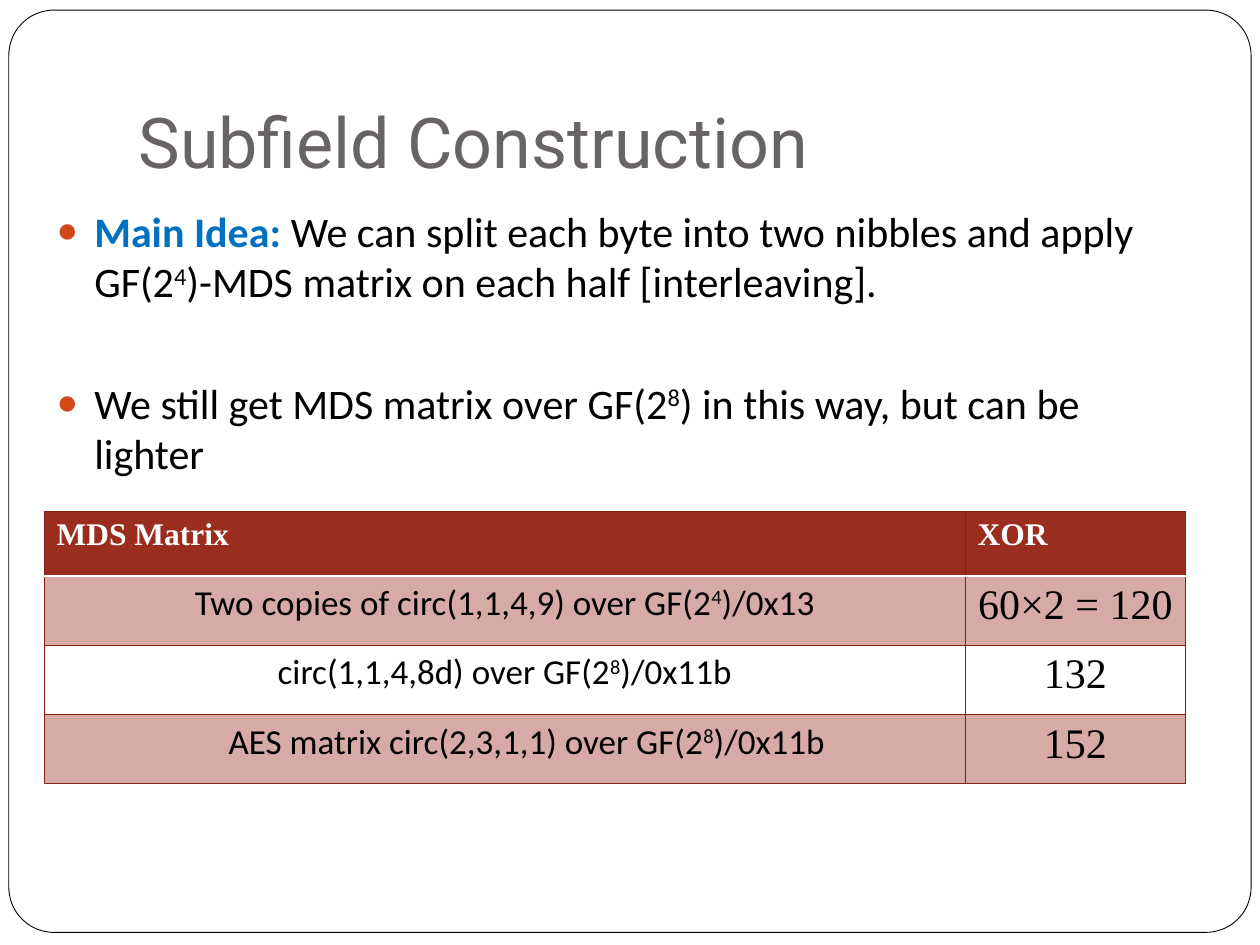
from pptx import Presentation
from pptx.dml.color import RGBColor
from pptx.enum.shapes import MSO_SHAPE as Shape
from pptx.enum.text import MSO_ANCHOR as Anchor, PP_ALIGN as Align
from pptx.oxml.ns import qn
from pptx.util import Inches, Pt
from lxml.etree import SubElement as Sub

# Content: carets enclose a superscript
TITLE = "Subfield Construction"
LEAD = "Main Idea:"
POINTS = [  # lead, text, space before
    (LEAD, " We can split each byte into two nibbles and apply "
           "GF(2^4^)-MDS matrix on each half [interleaving].", 5.8),
    ("", "We still get MDS matrix over GF(2^8^) in this way, "
         "but can be lighter", 40.8),
]
HEAD = ("MDS Matrix", "XOR")
ROWS = [  # matrix, XOR count, left indent
    ("Two copies of circ(1,1,4,9) over GF(2^4^)/0x13", "60×2 = 120", 0),
    ("circ(1,1,4,8d) over GF(2^8^)/0x11b", "132", 0),
    ("AES matrix circ(2,3,1,1) over GF(2^8^)/0x11b", "152", 0.35),
]
COLS = (7.31, 1.75)
HIGH = (0.51, 0.55, 0.55, 0.55)
SERIF, SANS = "Times New Roman", "Calibri"
RED, EDGE, WHITE, BLACK = "9B2D1F", "812014", "FFFFFF", "000000"


def rgb(code):
    return RGBColor.from_string(code)


def write(para, text, size, face, color=BLACK, bold=False):
    for i, part in enumerate(text.split("^")):
        if not part:
            continue
        run = para.add_run()
        run.text = part
        font = run.font
        font.size, font.name, font.bold = Pt(size), face, bold
        font.color.rgb = rgb(color)
        if i % 2:
            font._element.set("baseline", "30000")


def bullet(para):
    props = para._p.get_or_add_pPr()
    props.set("marL", str(Inches(0.3)))
    props.set("indent", str(Inches(-0.3)))
    Sub(Sub(props, qn("a:buClr")), qn("a:srgbClr"), val="D34817")
    Sub(props, qn("a:buSzPct"), val="85000")
    Sub(props, qn("a:buFont"), typeface="Arial")
    Sub(props, qn("a:buChar"), char="●")


def border(cell, side, color, width):
    line = Sub(cell._tc.get_or_add_tcPr(), qn("a:ln" + side), w=str(Pt(width)))
    Sub(Sub(line, qn("a:solidFill")), qn("a:srgbClr"), val=color)


def paint(cell, row):
    for side in "LRTB":
        rule = (side == "B" and row == 0) or (side == "T" and row == 1)
        border(cell, side, *((WHITE, 1) if rule else (EDGE, 0.75)))
    if row == 2:
        cell.fill.background()
        return
    cell.fill.solid()
    cell.fill.fore_color.rgb = rgb(RED)
    if row:
        tint = cell._tc.tcPr.find(qn("a:solidFill"))[0]
        Sub(tint, qn("a:alpha"), val="40000")


deck = Presentation()
deck.slide_width, deck.slide_height = Inches(10), Inches(7.5)
slide = deck.slides.add_slide(deck.slide_layouts[5])
shapes = slide.shapes
title = shapes.title

# Rounded frame, behind the title
frame = shapes.add_shape(Shape.ROUNDED_RECTANGLE, Inches(0.07), Inches(0.08),
                         Inches(9.86), Inches(7.32))
frame.adjustments[0] = 0.049
frame.shadow.inherit = False
frame.fill.solid()
frame.fill.fore_color.rgb = rgb(WHITE)
frame.line.color.rgb = rgb(BLACK)
frame.line.width = Pt(0.5)
title._element.addprevious(frame._element)

# Title
title.left, title.top = Inches(1), Inches(0.3)
title.width, title.height = Inches(8.5), Inches(1.25)
text = title.text_frame
text.vertical_anchor = Anchor.BOTTOM
text.margin_bottom = Inches(0.1)
text.paragraphs[0].alignment = Align.LEFT
write(text.paragraphs[0], TITLE, 40, "Roboto", "696464")

# Bullet points
body = shapes.add_textbox(Inches(0.35), Inches(1.58), Inches(9.15), Inches(5.47))
text = body.text_frame
text.word_wrap = True
for i, (lead, words, gap) in enumerate(POINTS):
    para = text.add_paragraph() if i else text.paragraphs[0]
    para.space_before = Pt(gap)
    bullet(para)
    write(para, lead, 24, SANS, "0070C0", True)
    write(para, words, 24, SANS)

# Table
table = shapes.add_table(len(HIGH), len(COLS), Inches(0.35), Inches(4.06),
                         Inches(sum(COLS)), Inches(sum(HIGH))).table
table.horz_banding = False
for col, width in zip(table.columns, COLS):
    col.width = Inches(width)
for row, height in zip(table.rows, HIGH):
    row.height = Inches(height)
for c, label in enumerate(HEAD):
    cell = table.cell(0, c)
    paint(cell, 0)
    write(cell.text_frame.paragraphs[0], label, 18, SERIF, WHITE, True)
for r, (matrix, count, indent) in enumerate(ROWS, 1):
    for c, (words, size, face) in enumerate([(matrix, 20, SANS), (count, 24, SERIF)]):
        cell = table.cell(r, c)
        paint(cell, r)
        para = cell.text_frame.paragraphs[0]
        para.alignment = Align.CENTER
        if indent and c == 0:
            para._p.get_or_add_pPr().set("marL", str(Inches(indent)))
        write(para, words, size, face)

deck.save("out.pptx")
